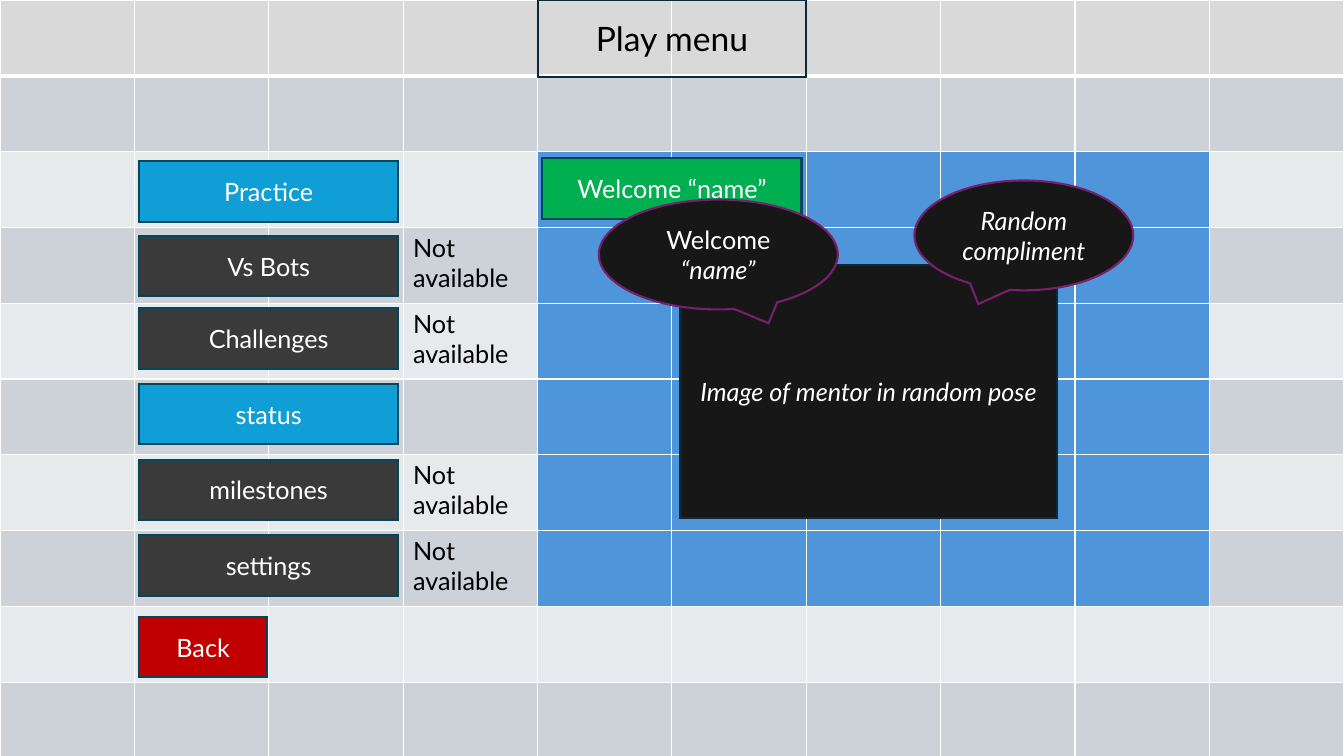
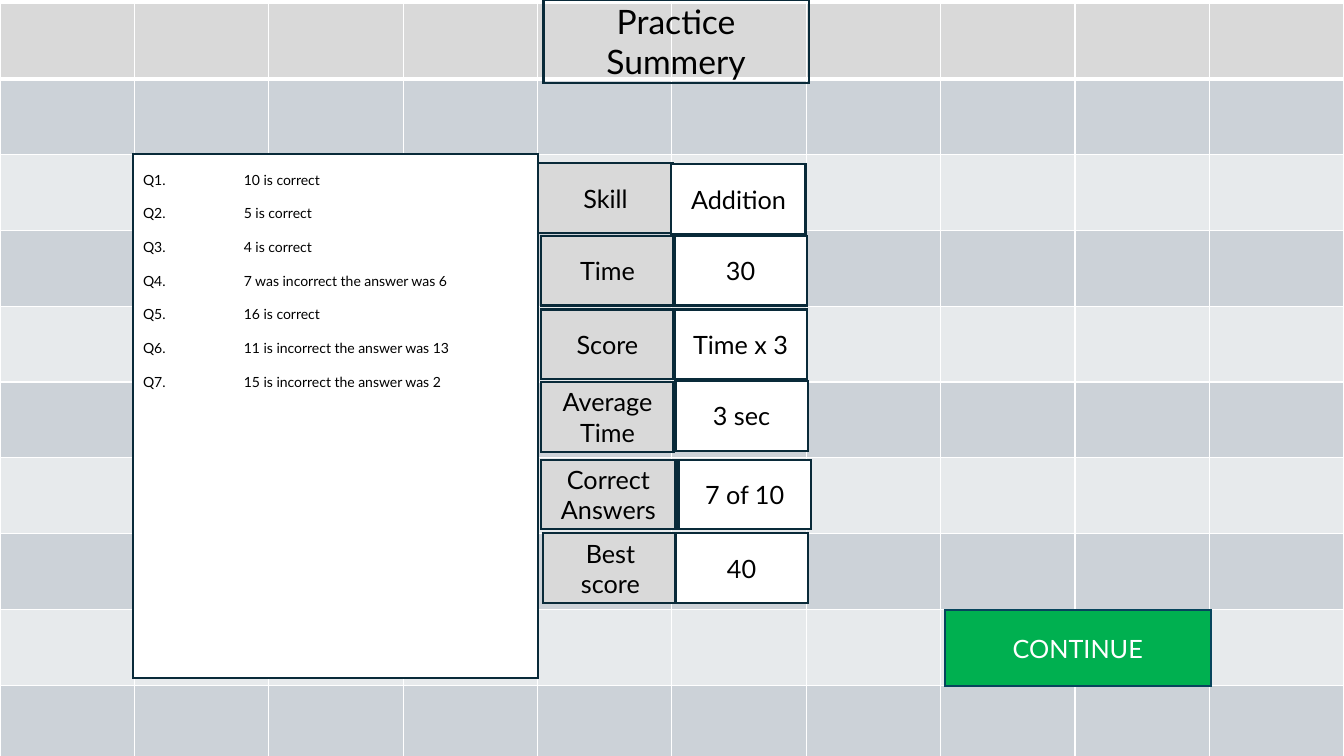
import pptx
import pptx.util
import pptx.dml.color
import pptx.enum.shapes
import pptx.enum.text
import pptx.oxml
import pptx.oxml.ns

Inches = pptx.util.Inches
Pt = pptx.util.Pt
RGB = pptx.dml.color.RGBColor
KIND = pptx.enum.shapes.MSO_SHAPE
ALIGN = pptx.enum.text.PP_ALIGN
ANCHOR = pptx.enum.text.MSO_ANCHOR
tag = pptx.oxml.ns.qn

FONT = "Lato"
BLACK = RGB(0x00, 0x00, 0x00)
WHITE = RGB(0xFF, 0xFF, 0xFF)
GREY = RGB(0xD9, 0xD9, 0xD9)
DARK = RGB(0xCC, 0xD2, 0xD8)
LIGHT = RGB(0xE7, 0xEA, 0xEC)
SKY = RGB(0x4E, 0x95, 0xD9)
BLUE = RGB(0x0F, 0x9E, 0xD5)
COAL = RGB(0x3A, 0x3A, 0x3A)
INK = RGB(0x17, 0x17, 0x17)
GREEN = RGB(0x00, 0xB0, 0x50)
RED = RGB(0xC0, 0x00, 0x00)
NAVY = RGB(0x09, 0x2A, 0x39)
TEAL = RGB(0x07, 0x45, 0x5D)
PLUM = RGB(0x78, 0x20, 0x6E)

COUNT = 10
WIDTH, HEIGHT = 13.33, 7.5
PANEL = {(row, col) for row in range(2, 8) for col in range(4, 9)}
SPACE = pptx.oxml.ns.nsdecls("a")
RULE = (f'<a:lnB {SPACE} w="{Pt(3)}"><a:solidFill><a:srgbClr val="{WHITE}"/>'
        '</a:solidFill></a:lnB>')
MITER = f'<a:miter {SPACE} lim="800000"/>'
TABS = f'<a:tabLst {SPACE}><a:tab pos="{Inches(1)}" algn="l"/></a:tabLst>'

MENU = [
    ("Practice", True, 1.6),
    ("Vs Bots", False, 2.34),
    ("Challenges", False, 3.06),
    ("status", True, 3.81),
    ("milestones", False, 4.56),
    ("settings", False, 5.31),
]
STATS = [
    (("Skill", 5.34, 1.62, 1.33), ("Addition", 6.66, 1.63, 1.33)),
    (("Time", 5.37, 2.34, 1.31), ("30", 6.69, 2.34, 1.31)),
    (("Score", 5.37, 3.07, 1.31), ("Time x 3", 6.69, 3.07, 1.31)),
    (("Average Time", 5.37, 3.79, 1.31), ("3 sec", 6.7, 3.78, 1.31)),
    (("Correct Answers", 5.37, 4.56, 1.33), ("7 of 10", 6.73, 4.56, 1.31)),
    (("Best score", 5.39, 5.29, 1.33), ("40", 6.7, 5.29, 1.31)),
]
MARKS = [
    "10 is correct",
    "5 is correct",
    "4 is correct",
    "7 was incorrect the answer was 6",
    "16 is correct",
    "11 is incorrect the answer was 13",
    "15 is incorrect the answer was 2",
]


def style(part, size, color, align=None, slant=None):
    part.alignment = align
    font = part.font
    font.name, font.size, font.color.rgb = FONT, Pt(size), color
    font.italic = slant


def outline(shape, color):
    shape.line.color.rgb = color
    shape.line.width = Pt(1.5)
    shape.element.spPr.find(tag("a:ln")).append(pptx.oxml.parse_xml(MITER))


def place(shape, spot):
    shape.left, shape.top, shape.width, shape.height = map(Inches, spot)


def add_box(slide, spot, text, fill, line=TEAL, color=WHITE, kind=KIND.RECTANGLE, slant=None):
    box = slide.shapes.add_shape(kind, *map(Inches, spot))
    box.shadow.inherit = False
    box.fill.solid()
    box.fill.fore_color.rgb = fill
    outline(box, line)
    frame = box.text_frame
    frame.word_wrap = True
    frame.vertical_anchor = ANCHOR.MIDDLE
    frame.text = text
    for part in frame.paragraphs:
        style(part, 18, color, ALIGN.CENTER, slant)
    return box


def add_page(deck, text, spot, top, panel=(), notes=None):
    notes = notes or {}
    slide = deck.slides.add_slide(deck.slide_layouts[5])
    grid = slide.shapes.add_table(
        COUNT, COUNT, 0, Inches(top), Inches(WIDTH), Inches(7.52))
    for row in range(COUNT):
        for col in range(COUNT):
            cell = grid.table.cell(row, col)
            cell.fill.solid()
            band = GREY if row == 0 else DARK if row % 2 else LIGHT
            cell.fill.fore_color.rgb = SKY if (row, col) in panel else band
            if (row, col) in notes:
                cell.text = notes[row, col]
                style(cell.text_frame.paragraphs[0], 18, BLACK)
    for item in grid.element.iter(tag("a:tr")):
        for props in item.iter(tag("a:tcPr")):
            props.insert(0, pptx.oxml.parse_xml(RULE))
        break
    title = slide.shapes.title
    grid.element.addnext(title.element)
    place(title, spot)
    outline(title, NAVY)
    frame = title.text_frame
    frame.text = text
    frame.word_wrap = True
    frame.auto_size = pptx.enum.text.MSO_AUTO_SIZE.NONE
    frame.vertical_anchor = ANCHOR.MIDDLE
    style(frame.paragraphs[0], 24, BLACK, ALIGN.CENTER)
    return slide


def add_menu(deck):
    notes = {(row, 3): "Not available" for row, (_, ready, _) in enumerate(MENU, 2) if not ready}
    slide = add_page(deck, "Play menu", (5.34, 0, 2.65, 0.76), 0, PANEL, notes)
    add_box(slide, (5.38, 1.57, 2.57, 0.6), "Welcome “name”", GREEN)
    add_box(slide, (6.75, 2.63, 3.73, 2.51), "Image of mentor in random pose", INK, NAVY, slant=True)
    add_box(slide, (9.07, 1.79, 2.17, 1.09), "Random compliment", INK, PLUM,
            kind=KIND.OVAL_CALLOUT, slant=True)
    hello = add_box(slide, (5.94, 1.98, 2.37, 1.09), "Welcome", INK, PLUM, kind=KIND.OVAL_CALLOUT)
    hello.adjustments[0] = 0.21
    run = hello.text_frame.paragraphs[0].add_run()
    run.text = " “name”"
    run.font.italic = True
    for name, ready, top in MENU:
        add_box(slide, (1.38, top, 2.57, 0.6), name, BLUE if ready else COAL)
    add_box(slide, (1.38, 6.12, 1.27, 0.6), "Back", RED)


def add_recap(deck):
    slide = add_page(deck, "Practice Summery", (5.39, 0, 2.63, 0.82), 0.03)
    text = "\n".join(f"Q{i}.\t{mark}" for i, mark in enumerate(MARKS, 1))
    sheet = add_box(slide, (1.32, 1.53, 4.02, 5.2), text, WHITE, NAVY, BLACK,
                    KIND.ACTION_BUTTON_CUSTOM)
    for props in sheet.element.iter(tag("a:pPr")):
        props.insert(0, pptx.oxml.parse_xml(TABS))
    frame = sheet.text_frame
    frame.vertical_anchor = ANCHOR.TOP
    frame.margin_top = Inches(0.17)
    for part in frame.paragraphs:
        style(part, 10, BLACK, ALIGN.LEFT)
        part.space_after = Pt(12)
    for pair in STATS:
        for (word, left, top, width), fill in zip(pair, (GREY, WHITE)):
            add_box(slide, (left, top, width, 0.69), word, fill, NAVY, BLACK,
                    KIND.ACTION_BUTTON_CUSTOM)
    add_box(slide, (9.37, 6.05, 2.64, 0.76), "CONTINUE", GREEN)


def main():
    deck = pptx.Presentation()
    deck.slide_width, deck.slide_height = Inches(WIDTH), Inches(HEIGHT)
    add_menu(deck)
    add_recap(deck)
    deck.save("out.pptx")


if __name__ == "__main__":
    main()
